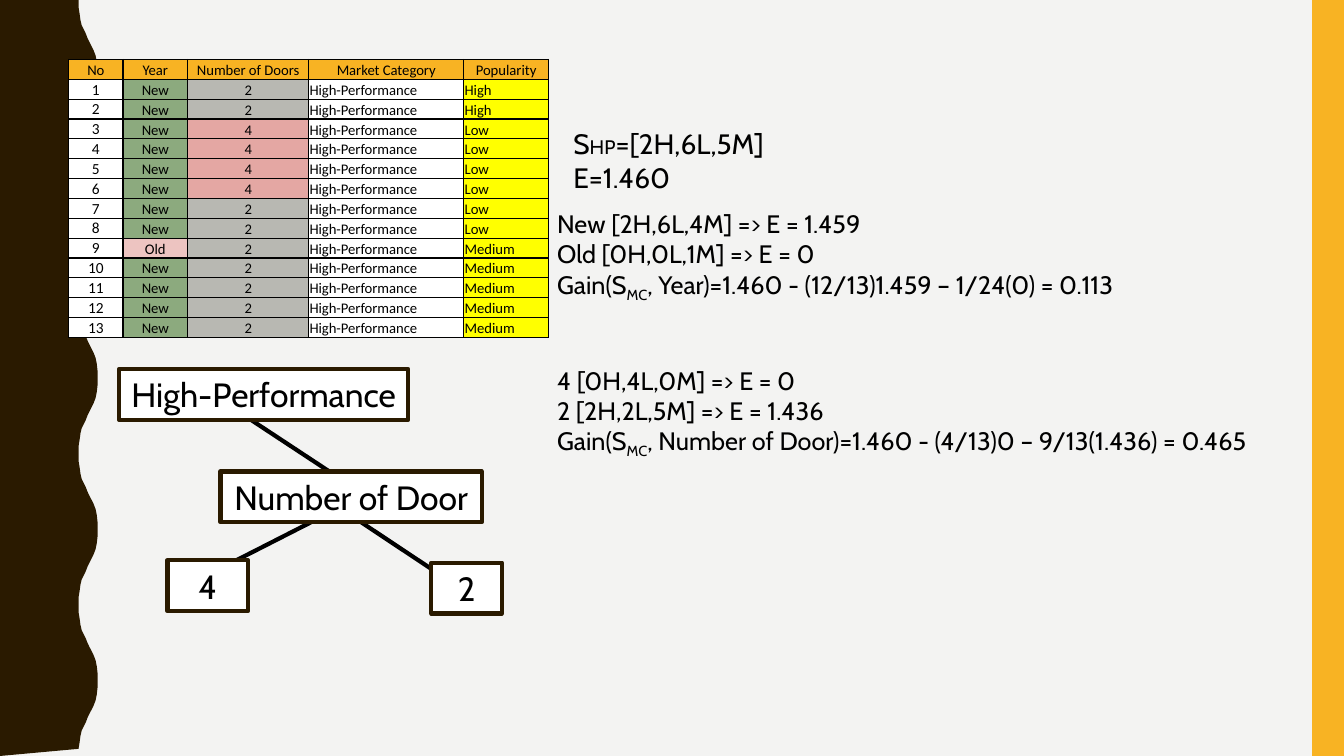
import pptx
import pptx.util
import pptx.dml.color
import pptx.enum.shapes
import pptx.enum.text
import pptx.oxml.ns
from lxml import etree

Cm, Pt = pptx.util.Cm, pptx.util.Pt
ALIGN = pptx.enum.text.PP_ALIGN
ANCHOR = pptx.enum.text.MSO_ANCHOR
RECT = pptx.enum.shapes.MSO_SHAPE.RECTANGLE
qn = pptx.oxml.ns.qn

# Theme
THEME = dict(
    bg="F3F3F2", brown="2A1A00", amber="F8B323", black="000000", white="FFFFFF",
    green="8CAA7E", pink="EDC4C1", grey="B8B8B2", rose="E4A7A3", yellow="FFFF00",
    font="Cabin", table_font="Calibri",
    cell=10.5, number=11, formula=18, entropy=20, small=14, node=24,
)

# Content
HEADER = ["No", "Year", "Number of Doors", "Market Category", "Popularity"]
CARS = (
    [("New", "2", "High")] * 2
    + [("New", "4", "Low")] * 4
    + [("New", "2", "Low")] * 2
    + [("Old", "2", "Medium")]
    + [("New", "2", "Medium")] * 4
)
CATEGORY = "High-Performance"
CELL_FILL = {"New": "green", "Old": "pink", "2": "grey", "4": "rose"}

# Each paragraph is a list of runs: text, size, baseline shift
ENTROPY = [
    [("S", "entropy", 0), ("HP", "small", 0), ("=[2H,6L,5M]", "entropy", 0)],
    [("E=1.460", "entropy", 0)],
]
GAINS = [
    ["New [2H,6L,4M] => E = 1.459", "Old [0H,0L,1M] => E = 0",
     ", Year)=1.460 - (12/13)1.459 – 1/24(0) = 0.113"],
    ["4 [0H,4L,0M] => E = 0", "2 [2H,2L,5M] => E = 1.436",
     ", Number of Door)=1.460 - (4/13)0 – 9/13(1.436) = 0.465"],
]
BLOCK_GAP = 44

# Tree: text, left, top, width; branches: x1, y1, x2, y2 (cm)
NODE_HEIGHT = 1.28
NODES = [
    ("High-Performance", 3, 9.3, 7.29),
    ("Number of Door", 5.56, 11.88, 6.58),
    ("2", 10.87, 14.18, 1.78),
    ("4", 4.22, 14.12, 2.03),
]
BRANCHES = [
    (8.41, 12.7, 11.81, 14.96),
    (8.74, 12.7, 5.11, 14.55),
    (5.84, 10.26, 9.27, 12.52),
]

# Layout (cm)
WIDTH, HEIGHT = 33.87, 19.05
BAR_LEFT = 33.07
TABLE_LEFT, TABLE_TOP, ROW_HEIGHT = 1.73, 1.5, 0.5
COLUMNS = [1.37, 1.63, 3.05, 3.91, 2.13]
WAVES = 5
WAVE_X = [1.98, 1.98, 2.01, 2.03, 2.06, 2.11, 2.16, 2.21,
          2.26, 2.31, 2.36, 2.41, 2.44, 2.46, 2.46]
WAVE_Y = [0, 0.18, 0.36, 0.51, 0.64, 0.74, 0.84, 0.97,
          1.07, 1.17, 1.27, 1.4, 1.55, 1.73, 1.9]


def color(name):
    return pptx.dml.color.RGBColor.from_string(THEME[name])


def paint(s, fill, line=None):
    s.shadow.inherit = False
    s.fill.solid()
    s.fill.fore_color.rgb = color(fill)
    if line:
        s.line.color.rgb = color(line)
        s.line.width = Pt(3)
    else:
        s.line.fill.background()


def add_run(p, text, size, baseline=0, font="font"):
    r = p.add_run()
    r.text = text
    r.font.size = Pt(THEME[size])
    r.font.name = THEME[font]
    r.font.color.rgb = color("black")
    if baseline:
        r._r.get_or_add_rPr().set("baseline", str(baseline))


def add_text(slide, box, paragraphs, gap_every=None):
    tf = slide.shapes.add_textbox(*map(Cm, box)).text_frame
    tf.word_wrap = True
    for i, runs in enumerate(paragraphs):
        p = tf.add_paragraph() if i else tf.paragraphs[0]
        if gap_every and i and i % gap_every == 0:
            p.space_before = Pt(BLOCK_GAP)
        for run in runs:
            add_run(p, *run)


def add_wave(slide):
    period = HEIGHT / WAVES
    half = list(zip(WAVE_X, WAVE_Y))
    full = half + [(x, period - y) for x, y in reversed(half[1:])]
    edge = [(Cm(x), Cm(y + n * period)) for n in range(WAVES) for x, y in full]
    builder = slide.shapes.build_freeform(0, 0)
    builder.add_line_segments(edge + [(0, Cm(HEIGHT))], close=True)
    paint(builder.convert_to_shape(), "brown")


def set_borders(cell):
    tc_pr = cell._tc.get_or_add_tcPr()
    for i, side in enumerate(("lnL", "lnR", "lnT", "lnB")):
        ln = etree.Element(qn("a:" + side), w=str(Pt(1)))
        fill = etree.SubElement(ln, qn("a:solidFill"))
        etree.SubElement(fill, qn("a:srgbClr"), val=THEME["black"])
        tc_pr.insert(i, ln)


def fill_cell(cell, text, fill, size, align, anchor):
    cell.margin_left = cell.margin_right = cell.margin_top = Cm(0.02)
    cell.margin_bottom = 0
    cell.vertical_anchor = anchor
    cell.fill.solid()
    cell.fill.fore_color.rgb = color(fill)
    p = cell.text_frame.paragraphs[0]
    p.alignment = align
    add_run(p, text, size, font="table_font")
    set_borders(cell)


def add_cars(slide):
    rows = len(CARS) + 1
    table = slide.shapes.add_table(
        rows, len(COLUMNS), Cm(TABLE_LEFT), Cm(TABLE_TOP),
        Cm(sum(COLUMNS)), Cm(rows * ROW_HEIGHT)).table
    table.first_row = table.horz_banding = False
    for column, width in zip(table.columns, COLUMNS):
        column.width = Cm(width)
    for row in table.rows:
        row.height = Cm(ROW_HEIGHT)
    for c, title in enumerate(HEADER):
        fill_cell(table.cell(0, c), title, "amber", "cell", ALIGN.CENTER, ANCHOR.BOTTOM)
    for n, (year, doors, popularity) in enumerate(CARS, 1):
        values = [
            (str(n), "white", "number", ALIGN.CENTER, ANCHOR.MIDDLE),
            (year, CELL_FILL[year], "cell", ALIGN.CENTER, ANCHOR.BOTTOM),
            (doors, CELL_FILL[doors], "cell", ALIGN.CENTER, ANCHOR.BOTTOM),
            (CATEGORY, "white", "cell", ALIGN.LEFT, ANCHOR.BOTTOM),
            (popularity, "yellow", "cell", ALIGN.LEFT, ANCHOR.BOTTOM),
        ]
        for c, value in enumerate(values):
            fill_cell(table.cell(n, c), *value)


def add_branch(slide, ends):
    s = slide.shapes.add_connector(
        pptx.enum.shapes.MSO_CONNECTOR.STRAIGHT, *map(Cm, ends))
    s.line.color.rgb = color("black")
    s.line.width = Pt(3)
    etree.SubElement(s._element.spPr, qn("a:effectLst"))


def add_node(slide, text, left, top, width):
    s = slide.shapes.add_shape(RECT, Cm(left), Cm(top), Cm(width), Cm(NODE_HEIGHT))
    paint(s, "white", "brown")
    tf = s.text_frame
    tf.word_wrap = False
    p = tf.paragraphs[0]
    p.alignment = ALIGN.CENTER
    add_run(p, text, "node")


def main():
    prs = pptx.Presentation()
    prs.slide_width, prs.slide_height = Cm(WIDTH), Cm(HEIGHT)
    slide = prs.slides.add_slide(prs.slide_layouts[6])
    slide.background.fill.solid()
    slide.background.fill.fore_color.rgb = color("bg")

    # Side decoration
    add_wave(slide)
    bar = slide.shapes.add_shape(RECT, Cm(BAR_LEFT), 0, Cm(WIDTH - BAR_LEFT), Cm(HEIGHT))
    paint(bar, "amber")

    # Branches lie behind the nodes
    for ends in BRANCHES:
        add_branch(slide, ends)
    add_cars(slide)

    # Formulas
    gains = []
    for first, second, rest in GAINS:
        gains += [[(first, "formula", 0)], [(second, "formula", 0)],
                  [("Gain(S", "formula", 0), ("MC", "formula", -25000),
                   (rest, "formula", 0)]]
    add_text(slide, (13.79, 5.13, 19.2, 6.4), gains, gap_every=3)
    add_text(slide, (14.2, 3.07, 5.56, 1.96), ENTROPY)

    # Decision tree
    for node in NODES:
        add_node(slide, *node)
    prs.save("out.pptx")


if __name__ == "__main__":
    main()
